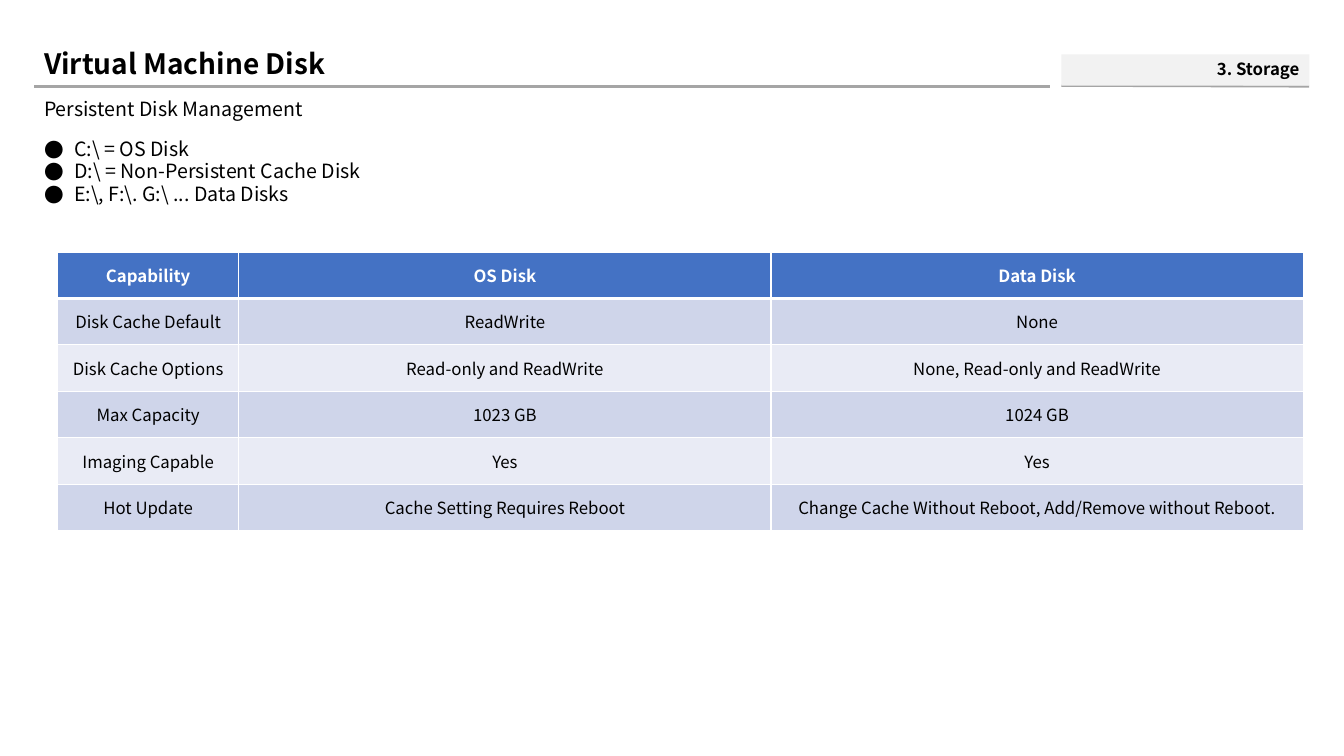
from dataclasses import dataclass

from lxml.etree import SubElement
from pptx import Presentation
from pptx.dml.color import RGBColor
from pptx.enum.shapes import MSO_CONNECTOR, MSO_SHAPE
from pptx.enum.text import MSO_ANCHOR, PP_ALIGN
from pptx.oxml.ns import qn
from pptx.slide import Slide
from pptx.table import _Cell
from pptx.text.text import TextFrame
from pptx.util import Cm, Pt


@dataclass(frozen=True)
class Theme:
    font: str = "Noto Sans CJK KR"
    ink: str = "000000"
    white: str = "FFFFFF"
    rule: str = "A5A5A5"
    tab: str = "F2F2F2"
    head: str = "4472C4"
    bands: tuple[str, str] = ("CFD5EA", "E9EBF5")
    title: int = 20
    body: int = 14
    small: int = 12


THEME = Theme()


@dataclass(frozen=True)
class Block:
    lines: tuple[str, ...]
    box: tuple[float, float, float, float]
    size: int = THEME.body
    bold: bool = False
    fill: str = ""
    bullet: str = ""
    anchor: MSO_ANCHOR = MSO_ANCHOR.MIDDLE
    align: PP_ALIGN = PP_ALIGN.LEFT
    space: float = 0.9


@dataclass(frozen=True)
class Rule:
    start: tuple[float, float]
    end: tuple[float, float]


RULES = (
    Rule((26.75, 2.16), (32.99, 2.18)),
    Rule((0.86, 2.18), (26.47, 2.18)),
)
BLOCKS = (
    Block(("Virtual Machine Disk",), (0.86, 1.02, 25.58, 1.17),
          THEME.title, bold=True, space=1.0),
    Block(("3. Storage",), (26.75, 1.37, 6.25, 0.79), THEME.small,
          bold=True, fill=THEME.tab, align=PP_ALIGN.RIGHT),
    Block((r"C:\ = OS Disk", r"D:\ = Non-Persistent Cache Disk",
           r"E:\, F:\. G:\ ... Data Disks"),
          (0.86, 3.38, 32.13, 14.43), bullet="●", anchor=MSO_ANCHOR.TOP),
    Block(("Persistent Disk Management",), (0.86, 2.18, 32.13, 1.19)),
)
ROWS = (
    ("Capability", "OS Disk", "Data Disk"),
    ("Disk Cache Default", "ReadWrite", "None"),
    ("Disk Cache Options", "Read-only and ReadWrite",
     "None, Read-only and ReadWrite"),
    ("Max Capacity", "1023 GB", "1024 GB"),
    ("Imaging Capable", "Yes", "Yes"),
    ("Hot Update", "Cache Setting Requires Reboot",
     "Change Cache Without Reboot, Add/Remove without Reboot."),
)
WIDTHS = (4.57, 13.41, 13.41)
HEIGHT = 1.17


def apply(target: object, values: dict[str, object]) -> None:
    for name, value in values.items():
        setattr(target, name, value)


def write(frame: TextFrame, lines: tuple[str, ...], size: int, color: str,
          bold: bool, form: dict[str, object]) -> None:
    for i, line in enumerate(lines):
        para = frame.add_paragraph() if i else frame.paragraphs[0]
        apply(para, form)
        run = para.add_run()
        run.text = line
        apply(run.font, {"name": THEME.font, "size": Pt(size), "bold": bold})
        run.font.color.rgb = RGBColor.from_string(color)


def add_rule(slide: Slide, rule: Rule) -> None:
    line = slide.shapes.add_connector(
        MSO_CONNECTOR.STRAIGHT, *map(Cm, rule.start + rule.end))
    line.line.color.rgb = RGBColor.from_string(THEME.rule)
    line.line.width = Pt(1.5)
    SubElement(line.element.spPr, qn("a:effectLst"))


def add_block(slide: Slide, block: Block) -> None:
    box = tuple(map(Cm, block.box))
    if block.fill:
        shape = slide.shapes.add_shape(MSO_SHAPE.RECTANGLE, *box)
        shape.shadow.inherit = False
        shape.fill.solid()
        shape.fill.fore_color.rgb = RGBColor.from_string(block.fill)
        shape.line.fill.background()
    else:
        shape = slide.shapes.add_textbox(*box)
    frame = shape.text_frame
    apply(frame, {"word_wrap": True, "vertical_anchor": block.anchor})
    form = {"alignment": block.align, "line_spacing": block.space}
    if block.bullet:
        form["space_before"] = Pt(1)
    write(frame, block.lines, block.size, THEME.ink, block.bold, form)

    # Hanging bullets
    if block.bullet:
        for para in frame.paragraphs:
            props = para._p.get_or_add_pPr()
            props.set("marL", str(Cm(0.76)))
            props.set("indent", str(-Cm(0.76)))
            SubElement(props, qn("a:buFont"), typeface=THEME.font)
            SubElement(props, qn("a:buChar"), char=block.bullet)


def add_edges(cell: _Cell, row: int) -> None:
    widths = {"L": 1, "R": 1, "T": 3 if row == 1 else 1,
              "B": 3 if row == 0 else 1}
    props = cell._tc.get_or_add_tcPr()
    for side, width in widths.items():
        edge = SubElement(props, qn(f"a:ln{side}"), w=str(Pt(width)))
        fill = SubElement(edge, qn("a:solidFill"))
        SubElement(fill, qn("a:srgbClr"), val=THEME.white)


def add_grid(slide: Slide) -> None:
    table = slide.shapes.add_table(
        len(ROWS), len(WIDTHS), Cm(1.45), Cm(6.35),
        Cm(sum(WIDTHS)), Cm(HEIGHT * len(ROWS))).table
    for col, width in zip(table.columns, WIDTHS):
        col.width = Cm(width)
    for r, texts in enumerate(ROWS):
        table.rows[r].height = Cm(HEIGHT)
        head = r == 0
        fill = THEME.head if head else THEME.bands[(r - 1) % 2]
        color = THEME.white if head else THEME.ink
        for c, text in enumerate(texts):
            cell = table.cell(r, c)
            apply(cell, {
                "vertical_anchor": MSO_ANCHOR.MIDDLE,
                "margin_left": Cm(0.33), "margin_right": Cm(0.33),
                "margin_top": Cm(0.18), "margin_bottom": Cm(0.18),
            })
            add_edges(cell, r)
            cell.fill.solid()
            cell.fill.fore_color.rgb = RGBColor.from_string(fill)
            write(cell.text_frame, (text,), THEME.small, color, head,
                  {"alignment": PP_ALIGN.CENTER})


def main() -> None:
    deck = Presentation()
    apply(deck, {"slide_width": Cm(33.87), "slide_height": Cm(19.05)})
    slide = deck.slides.add_slide(deck.slide_layouts[6])

    # Header rules
    for rule in RULES:
        add_rule(slide, rule)

    # Title, section tab and body text
    for block in BLOCKS:
        add_block(slide, block)

    # Disk comparison
    add_grid(slide)
    deck.save("out.pptx")


if __name__ == "__main__":
    main()
